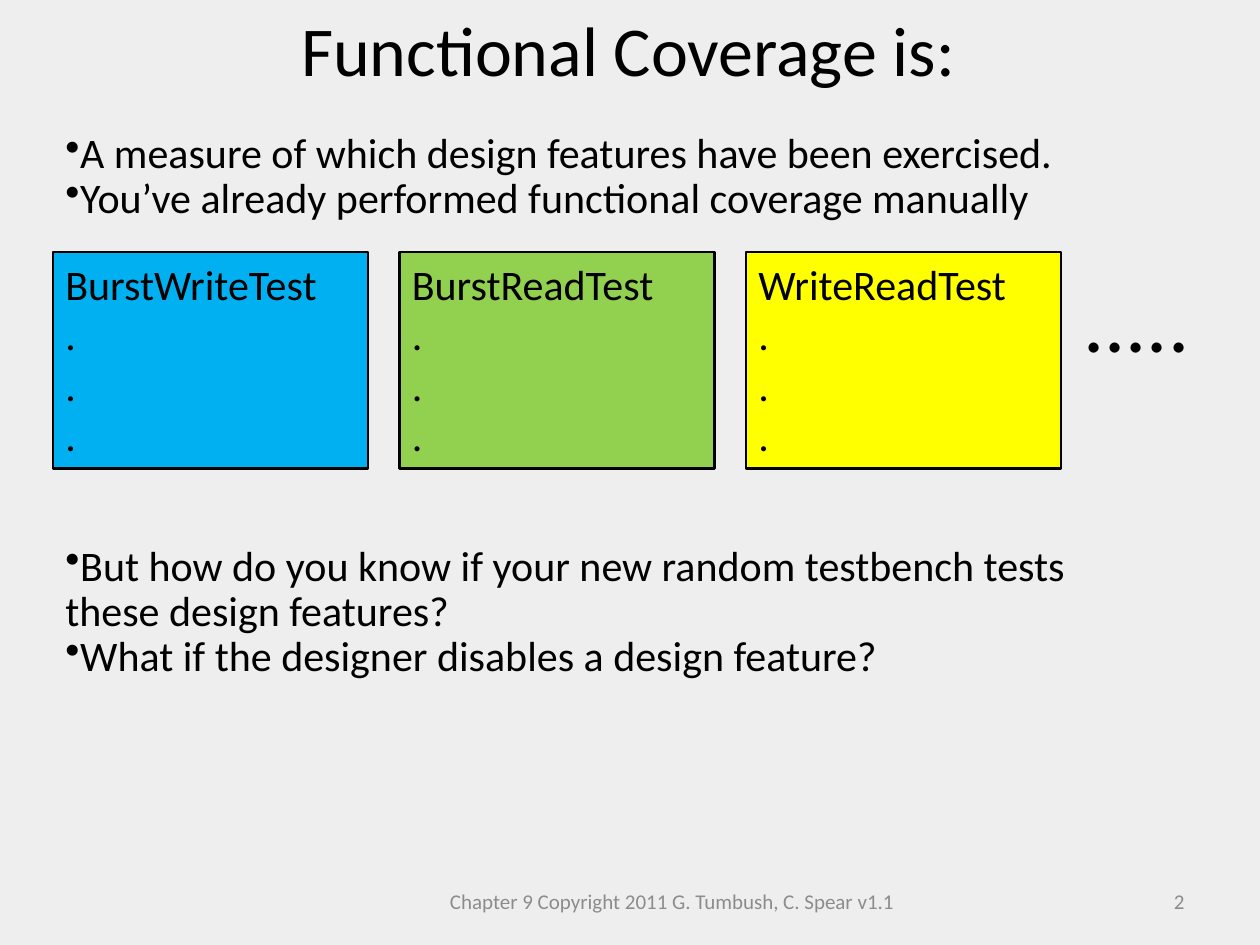
import pptx
import pptx.util
import pptx.dml.color
import pptx.enum.shapes
import pptx.enum.text
import pptx.oxml

Inches, Pt = pptx.util.Inches, pptx.util.Pt
ALIGN = pptx.enum.text.PP_ALIGN
ANCHOR = pptx.enum.text.MSO_ANCHOR

TITLE = "Functional Coverage is:"
BULLETS = [  # text, space before in points
    ("A measure of which design features have been exercised.", 0),
    ("You’ve already performed functional coverage manually", 0),
    ("But how do you know if your new random testbench tests these design features?", 184),
    ("What if the designer disables a design feature?", 0),
]
TESTS = [("BurstWriteTest", "00B0F0"), ("BurstReadTest", "92D050"), ("WriteReadTest", "FFFF00")]
FOOTER = "Chapter 9 Copyright 2011 G. Tumbush, C. Spear v1.1"
PAGE_NUMBER = "2"

BLACK, GREY, BACKGROUND = "000000", "8C8C8C", "EEEEEE"
LEFT, TEST_TOP, TEST_W, TEST_H, TEST_PITCH = 0.42, 2, 2.5, 1.72, 2.75
FOOTER_TOP, FOOTER_H = 6.95, 0.4


def rgb(value):
    return pptx.dml.color.RGBColor.from_string(value)


def write(s, lines, size, color=BLACK, align=ALIGN.LEFT, anchor=ANCHOR.TOP):
    """Fill a shape with one paragraph per line and return the paragraphs."""
    tf = s.text_frame
    tf.word_wrap = True
    tf.vertical_anchor = anchor
    tf.text = "\n".join(lines)
    for p in tf.paragraphs:
        p.alignment = align
        p.font.name = "Calibri"
        p.font.size = Pt(size)
        p.font.color.rgb = rgb(color)
    return tf.paragraphs


def add_text(slide, box, lines, size, **style):
    s = slide.shapes.add_textbox(*map(Inches, box))
    return write(s, lines, size, **style)


def add_bullet(p):
    bullet = pptx.oxml.parse_xml(
        '<a:buChar xmlns:a="http://schemas.openxmlformats.org/drawingml/2006/main" char="•"/>')
    p_pr = p._p.get_or_add_pPr()
    p_pr.insert_element_before(bullet, "a:tabLst", "a:defRPr", "a:extLst")


def add_test(slide, column, name, color):
    s = slide.shapes.add_shape(
        pptx.enum.shapes.MSO_SHAPE.RECTANGLE,
        *map(Inches, (LEFT + column * TEST_PITCH, TEST_TOP, TEST_W, TEST_H)))
    s.shadow.inherit = False
    s.fill.solid()
    s.fill.fore_color.rgb = rgb(color)
    s.line.color.rgb = rgb(BLACK)
    s.line.width = Pt(1.5)
    write(s, [name, ".", ".", "."], 24)


def main():
    prs = pptx.Presentation()
    prs.slide_width, prs.slide_height = Inches(10), Inches(7.5)
    slide = prs.slides.add_slide(prs.slide_layouts[6])
    slide.background.fill.solid()
    slide.background.fill.fore_color.rgb = rgb(BACKGROUND)

    add_text(slide, (0.33, 0, 9.31, 0.77), [TITLE], 40, align=ALIGN.CENTER)

    paragraphs = add_text(slide, (LEFT, 1, 8.92, 4.46), [text for text, _ in BULLETS], 24)
    for p, (_, gap) in zip(paragraphs, BULLETS):
        add_bullet(p)
        p.line_spacing = 0.9
        if gap:
            p.space_before = Pt(gap)

    for column, (name, color) in enumerate(TESTS):
        add_test(slide, column, name, color)
    add_text(slide, (8.5, 2.08, 1.5, 0.91), ["....."], 48)

    for left, width, text, align in [(3.42, 3.83, FOOTER, ALIGN.CENTER),
                                     (7.17, 2.33, PAGE_NUMBER, ALIGN.RIGHT)]:
        add_text(slide, (left, FOOTER_TOP, width, FOOTER_H), [text], 12,
                 color=GREY, align=align, anchor=ANCHOR.MIDDLE)

    prs.save("out.pptx")


if __name__ == "__main__":
    main()
